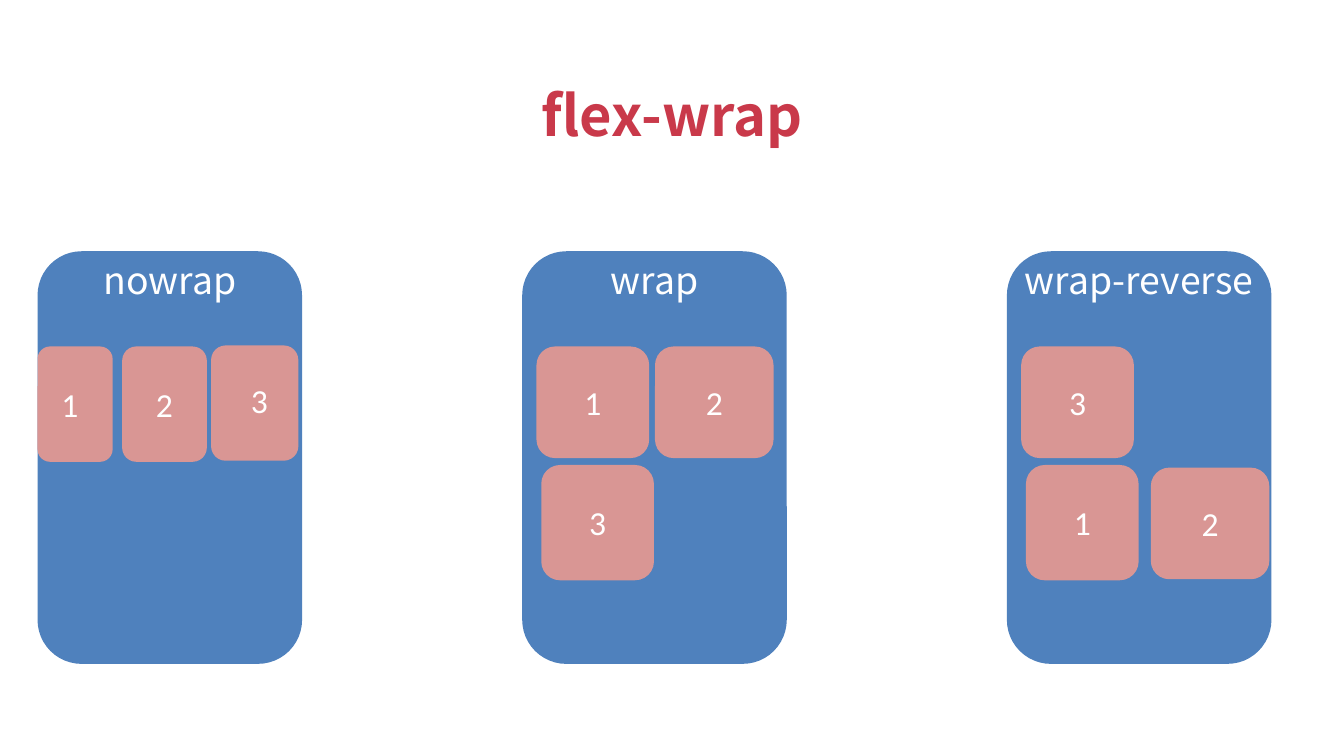
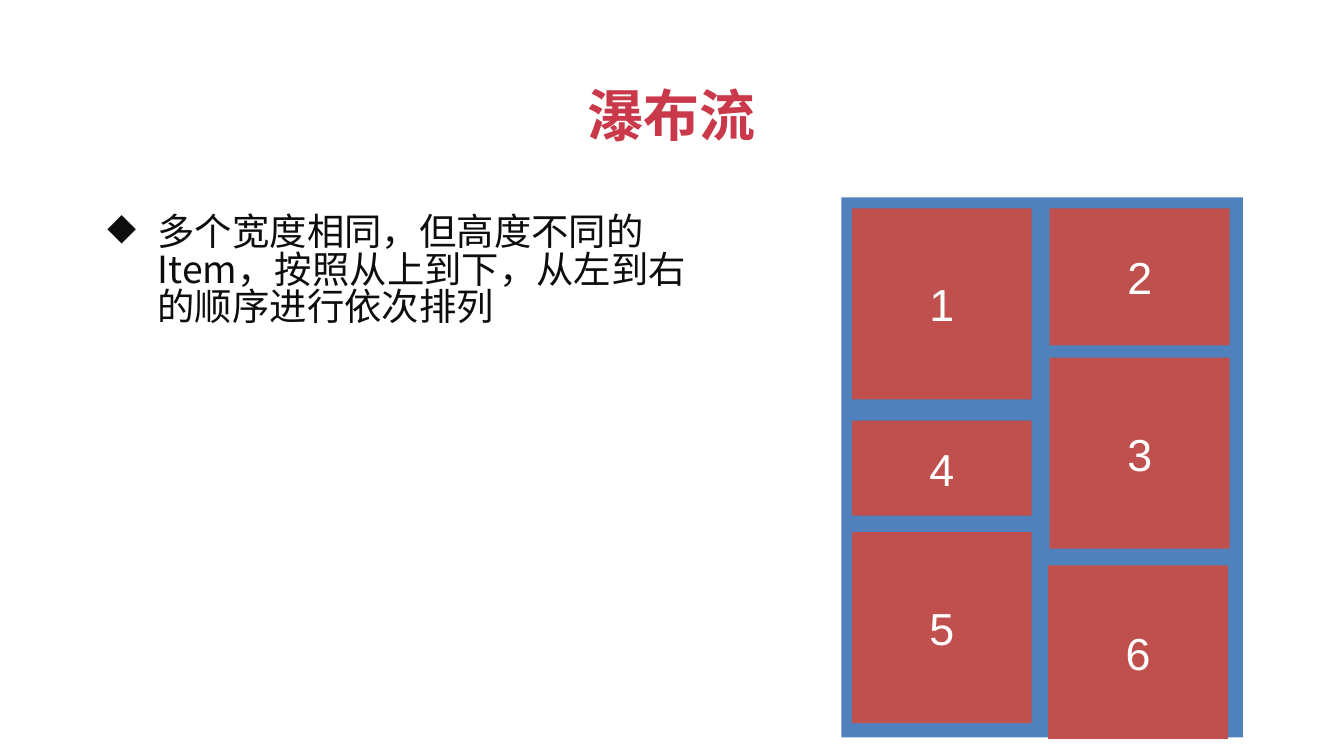
from lxml import etree
from pptx import Presentation
from pptx.dml.color import RGBColor
from pptx.enum.shapes import MSO_SHAPE
from pptx.enum.text import MSO_ANCHOR, MSO_AUTO_SIZE, PP_ALIGN
from pptx.oxml.ns import qn
from pptx.util import Cm, Pt

RECT, ROUND = MSO_SHAPE.RECTANGLE, MSO_SHAPE.ROUNDED_RECTANGLE
LEFT, CENTER = PP_ALIGN.LEFT, PP_ALIGN.CENTER
TOP, MIDDLE = MSO_ANCHOR.TOP, MSO_ANCHOR.MIDDLE
GROW = MSO_AUTO_SIZE.SHAPE_TO_FIT_TEXT

CRIMSON = RGBColor(0xC9, 0x39, 0x4A)
BLUE = RGBColor(0x4F, 0x81, 0xBD)
PINK = RGBColor(0xD9, 0x96, 0x94)
RED = RGBColor(0xC0, 0x50, 0x4D)
WHITE = RGBColor(0xFF, 0xFF, 0xFF)
INK = RGBColor(0x0D, 0x0D, 0x0D)

SANS = "Noto Sans CJK SC"
SLIDE_W, SLIDE_H = 25.4, 14.29
PANEL_X, PANEL_Y, PANEL_W, PANEL_H, PANEL_PITCH = 0.71, 4.75, 5, 7.8, 9.16
LABEL_W, LABEL_H = 1.22, 1.02

# Each item: number, left, top, width, height within its panel, then label shift.
PANELS = [
    ("nowrap", 4.47, [("1", 0, 1.8, 1.42, 2.18, -0.1, 0),
                      ("2", 1.6, 1.8, 1.6, 2.18, 0, 0),
                      ("3", 3.28, 1.78, 1.65, 2.18, 0.09, -0.05)]),
    ("wrap", 4.47, [("1", 0.27, 1.8, 2.13, 2.11, 0, 0),
                    ("2", 2.51, 1.8, 2.24, 2.11, 0, 0),
                    ("3", 0.36, 4.04, 2.13, 2.18, 0, 0)]),
    ("wrap-reverse", 5, [("3", 0.27, 1.8, 2.13, 2.11, 0, 0),
                         ("2", 2.72, 4.09, 2.24, 2.11, 0, 0),
                         ("1", 0.36, 4.04, 2.13, 2.18, 0, 0)]),
]
BOARD = (15.9, 3.73, 7.59, 10.21)
BRICK_W = 3.4
BRICKS = [("1", 16.1, 3.94, 3.61), ("2", 19.84, 3.94, 2.59),
          ("3", 19.84, 6.76, 3.61), ("4", 16.1, 7.95, 1.8),
          ("5", 16.1, 10.06, 3.61), ("6", 19.81, 10.69, 3.28)]


def write(tf, text, size=18, font=SANS, color=WHITE, bold=False,
          align=CENTER, anchor=TOP, wrap=True):
    """Write one formatted paragraph and return it."""
    tf.word_wrap = wrap
    tf.vertical_anchor = anchor
    p = tf.paragraphs[0]
    p.alignment = align
    r = p.add_run()
    r.text = text
    r.font.size, r.font.bold, r.font.name = Pt(size), bold, font
    r.font.color.rgb = color
    if font == SANS:
        p.line_spacing = 0.84
        etree.SubElement(r.font._element, qn("a:ea"), typeface=font)
    return p


def add_text(shapes, text, x, y, w, h, **fmt):
    """Add a text box that grows with its text and return its paragraph."""
    tf = shapes.add_textbox(Cm(x), Cm(y), Cm(w), Cm(h)).text_frame
    p = write(tf, text, **fmt)
    tf.auto_size = GROW
    return p


def add_block(shapes, kind, x, y, w, h, color):
    """Add a plain filled shape."""
    sp = shapes.add_shape(kind, Cm(x), Cm(y), Cm(w), Cm(h))
    sp.shadow.inherit = False
    sp.fill.solid()
    sp.fill.fore_color.rgb = color
    sp.line.fill.background()
    return sp


def add_slide(prs, title, title_w):
    """Add a blank slide with a centred title."""
    s = prs.slides.add_slide(prs.slide_layouts[6])
    add_text(s.shapes, title, (SLIDE_W - title_w) / 2, 1.6, title_w, 1.55,
             size=30, color=CRIMSON, bold=True, wrap=False)
    return s


def add_bullet(p, char, left, hanging):
    """Give a paragraph a bullet and a hanging indent."""
    pPr = p._p.get_or_add_pPr()
    pPr.set("marL", str(Cm(left)))
    pPr.set("indent", str(-Cm(hanging)))
    etree.SubElement(pPr, qn("a:buChar"), char=char)


def add_panel(s, x, name, name_w, items):
    """Add a grouped container with its name and numbered items."""
    shapes = s.shapes.add_group_shape().shapes
    add_block(shapes, ROUND, x, PANEL_Y, PANEL_W, PANEL_H, BLUE)
    add_text(shapes, name, x + (PANEL_W - name_w) / 2, PANEL_Y + 0.13,
             name_w, 1.12, size=20)
    for number, left, top, w, h, dx, dy in items:
        item_x, item_y = x + left, PANEL_Y + top
        add_block(shapes, ROUND, item_x, item_y, w, h, PINK)
        add_text(shapes, number, item_x + (w - LABEL_W) / 2 + dx,
                 item_y + (h - LABEL_H) / 2 + dy, LABEL_W, LABEL_H,
                 font="Calibri")


def wrap_slide(prs):
    """Build the slide that compares the wrap values."""
    s = add_slide(prs, "flex-wrap", 5.66)
    for i, panel in enumerate(PANELS):
        add_panel(s, PANEL_X + i * PANEL_PITCH, *panel)


def waterfall_slide(prs):
    """Build the slide on the waterfall layout."""
    s = add_slide(prs, "瀑布流", 3.71)
    p = add_text(s.shapes, "多个宽度相同，但高度不同的 Item，按照从上到下，从左到右的顺序进行依次排列",
                 0.51, 3.73, 13, 2.82, size=20, color=INK, align=LEFT,
                 anchor=MIDDLE)
    add_bullet(p, "◆", 2.22, 0.95)
    add_block(s.shapes, RECT, *BOARD, BLUE)
    for number, x, y, h in BRICKS:
        sp = add_block(s.shapes, RECT, x, y, BRICK_W, h, RED)
        write(sp.text_frame, number, size=24, font="Arial", anchor=MIDDLE)


def main():
    """Build and save the presentation."""
    prs = Presentation()
    prs.slide_width, prs.slide_height = Cm(SLIDE_W), Cm(SLIDE_H)
    wrap_slide(prs)
    waterfall_slide(prs)
    prs.save("out.pptx")


if __name__ == "__main__":
    main()
